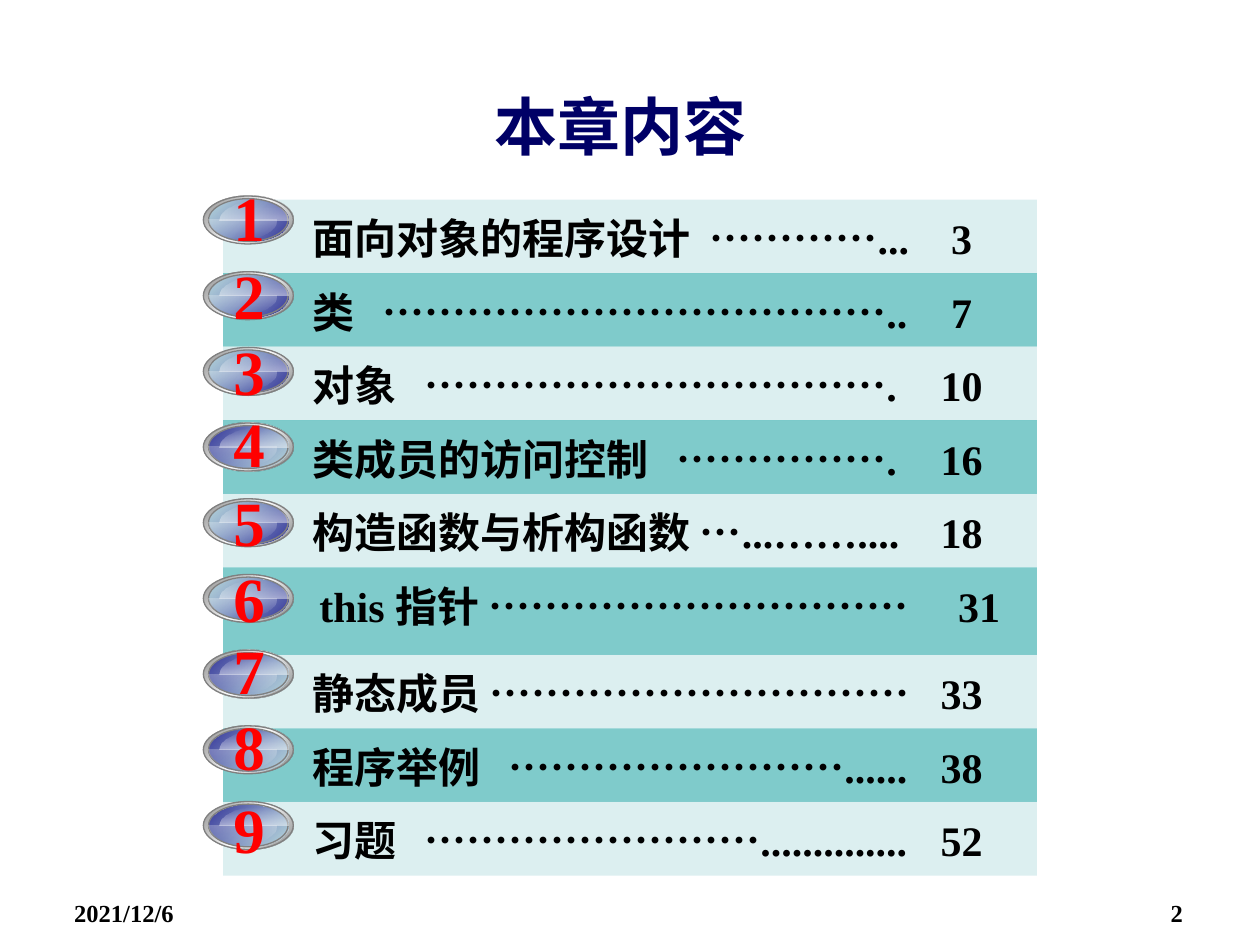
from pptx import Presentation
from pptx.dml.color import RGBColor as RGB
from pptx.enum.shapes import MSO_SHAPE as SHAPE
from pptx.enum.text import MSO_ANCHOR as ANCHOR, PP_ALIGN as ALIGN
from pptx.oxml import parse_xml
from pptx.oxml.ns import nsdecls, qn
from pptx.util import Pt

FONT = "Times New Roman"
COLORS = {
    "title": "000066", "text": "000000", "number": "FF0000",
    "pale": "BBE0E3", "teal": "009999", "rim": "808080",
    "white": "FFFFFF", "blue": "333399",
}
CONTENTS = [
    ("面向对象的程序设计", 11, "…………...", "3"),
    ("类", 16, "………………………………..", "7"),
    ("对象", 16, "…………………………….", "10"),
    ("类成员的访问控制", 16, "…………….", "16"),
    ("构造函数与析构函数", 0, "…...……....", "18"),
    ("this 指针", 0, "…………………………", "31"),
    ("静态成员", 0, "…………………………", "33"),
    ("程序举例", 16, "……………………......", "38"),
    ("习题", 16, "……………………..............", "52"),
]
NUMBER_DROPS = [2, 3, 3.5, 1.5, 3, 3.5, 1.5, 1.5, 5.5]
BLUE_LAST = {1, 2, 3, 5, 6}


def style(p, size, color, align=ALIGN.LEFT):
    """Set the bold face, size, colour and alignment of a paragraph."""
    p.alignment = align
    p.font.name, p.font.size, p.font.bold = FONT, Pt(size), True
    p.font.color.rgb = RGB.from_string(COLORS[color])


def add_text(shapes, box, text, size, color, align):
    """Add a one-line text box and return its frame."""
    tf = shapes.add_textbox(*map(Pt, box)).text_frame
    tf.word_wrap = True
    tf.text = text
    style(tf.paragraphs[0], size, color, align)
    return tf


def set_gradient(sp, stops, angle):
    """Fill a shape with (position, colour, opacity) stops, all in percent."""
    sp.shadow.inherit = False
    sp.fill.gradient()
    marks = "".join(
        f'<a:gs pos="{pos * 1000}"><a:srgbClr val="{COLORS[color]}">'
        f'<a:alpha val="{alpha * 1000}"/></a:srgbClr></a:gs>'
        for pos, color, alpha in stops)
    grad = parse_xml(
        f'<a:gradFill {nsdecls("a")} rotWithShape="1"><a:gsLst>{marks}</a:gsLst>'
        f'<a:lin ang="{angle * 60000}" scaled="1"/></a:gradFill>')
    old = sp.element.spPr.find(qn("a:gradFill"))
    old.getparent().replace(old, grad)


def add_ellipse(shapes, box, stops):
    """Add a grey-edged ellipse with a diagonal gradient."""
    sp = shapes.add_shape(SHAPE.OVAL, *map(Pt, box))
    set_gradient(sp, stops, 45)
    sp.line.color.rgb = RGB.from_string(COLORS["rim"])
    sp.line.width = Pt(0.75)


def add_shine(shapes, cx, cy, rotation, alpha):
    """Add a half ellipse centred on a point, its flat side right before rotation."""
    w, h = 10.5, 38.9
    x, y = cx - w / 2, cy - h / 2
    shares = [(1, 0), (0.45, 0), (0, 0.22), (0, 0.5),
              (0, 0.78), (0.45, 1), (1, 1), (1, 0.5)]
    points = [(Pt(x + w * a), Pt(y + h * b)) for a, b in shares]
    builder = shapes.build_freeform(*points[0])
    builder.add_line_segments(points[1:], close=True)
    sp = builder.convert_to_shape()
    lines = list(sp.element.spPr.iter(qn("a:lnTo")))
    for trio in (lines[:3], lines[3:6]):
        curve = parse_xml(f'<a:cubicBezTo {nsdecls("a")}/>')
        trio[0].addprevious(curve)
        for line in trio:
            curve.append(line[0])
            line.getparent().remove(line)
    set_gradient(sp, [(0, "white", 0), (100, "white", alpha)], 0)
    sp.line.fill.background()
    sp.rotation = rotation


def add_badge(slide, box, number, drop, blue_last):
    """Add a glossy numbered badge as one group."""
    x, y, w, h = box
    shapes = slide.shapes.add_group_shape().shapes
    add_ellipse(shapes, box, [(0, "rim", 90), (50, "white", 100), (100, "rim", 90)])
    ends = [("pale", 90), ("blue", 100)]
    first, last = ends if blue_last else ends[::-1]
    add_ellipse(shapes, (x + 3, y + 1.5, w - 6, h - 3), [(0, *first), (100, *last)])
    cx, cy = x + w / 2, y + h / 2
    add_shine(shapes, cx - 3.2, cy + 5.2, 270, 26)
    add_shine(shapes, cx + 3.2, cy - 5.2, 90, 50)
    tf = add_text(shapes, (x + 8.5, y + drop, 35.3, 19.4), str(number),
                  36, "number", ALIGN.CENTER)
    tf.vertical_anchor = ANCHOR.MIDDLE
    tf.margin_left = tf.margin_right = tf.margin_top = tf.margin_bottom = 0


def add_tabs(p, stops):
    """Give a paragraph (position, alignment) tab stops."""
    tabs = "".join(f'<a:tab pos="{Pt(pos)}" algn="{algn}"/>' for pos, algn in stops)
    p._p.get_or_add_pPr().append(
        parse_xml(f'<a:tabLst {nsdecls("a")}>{tabs}</a:tabLst>'))


def add_contents(slide, box):
    """Add the table of chapter sections with leaders and page numbers."""
    table = slide.shapes.add_table(len(CONTENTS), 1, *map(Pt, box)).table
    table.first_row = table.horz_banding = False
    table._tbl.tblPr.find(qn("a:tableStyleId")).text = (
        "{2D5ABB26-0587-4C30-8999-92F81FD0307C}")
    for i, (title, gap, leader, page) in enumerate(CONTENTS):
        latin = title.startswith("this")
        table.rows[i].height = Pt(50 if latin else 41)
        cell = table.cell(i, 0)
        cell.margin_left = Pt(55 if latin else 51)
        cell.fill.solid()
        cell.fill.fore_color.rgb = RGB.from_string(COLORS["teal" if i % 2 else "pale"])
        color = cell.fill._xPr.find(qn("a:solidFill"))[0]
        color.append(parse_xml(f'<a:alpha {nsdecls("a")} val="50000"/>'))
        cell.text = f"{title}{chr(9) if gap else ' '}{leader}\t{page}"
        p = cell.text_frame.paragraphs[0]
        leader_tab = [(24 * len(title) + gap, "l")] if gap else []
        add_tabs(p, leader_tab + [(377 if latin else 371, "ctr")])
        style(p, 24, "text")


def add_title(slide, box, text):
    """Place and format the title placeholder."""
    sp = slide.shapes.title
    sp.left, sp.top, sp.width, sp.height = map(Pt, box)
    sp.text_frame.text = text
    sp.text_frame.vertical_anchor = ANCHOR.MIDDLE
    style(sp.text_frame.paragraphs[0], 36, "title", ALIGN.CENTER)


def add_footer(slide, box):
    """Add the date at the left and the slide number at the right."""
    x, y, w, h = box
    part = 168
    add_text(slide.shapes, (x, y, part, h), "2021/12/6", 14, "text", ALIGN.LEFT)
    add_text(slide.shapes, (x + w - part, y, part, h), "2", 14, "text", ALIGN.RIGHT)


def main():
    """Build the contents slide and save it."""
    prs = Presentation()
    prs.slide_width, prs.slide_height = Pt(720), Pt(540)
    slide = prs.slides.add_slide(prs.slide_layouts[5])
    add_title(slide, (224, 43, 261, 57), "本章内容")
    add_contents(slide, (127.5, 114, 465, 378))
    for i, drop in enumerate(NUMBER_DROPS):
        box = (116.2, 112 + 43.25 * i, 51.4, 27.4)
        add_badge(slide, box, i + 1, drop, i + 1 in BLUE_LAST)
    add_footer(slide, (35.3, 509.7, 647.7, 21))
    prs.save("out.pptx")


if __name__ == "__main__":
    main()
